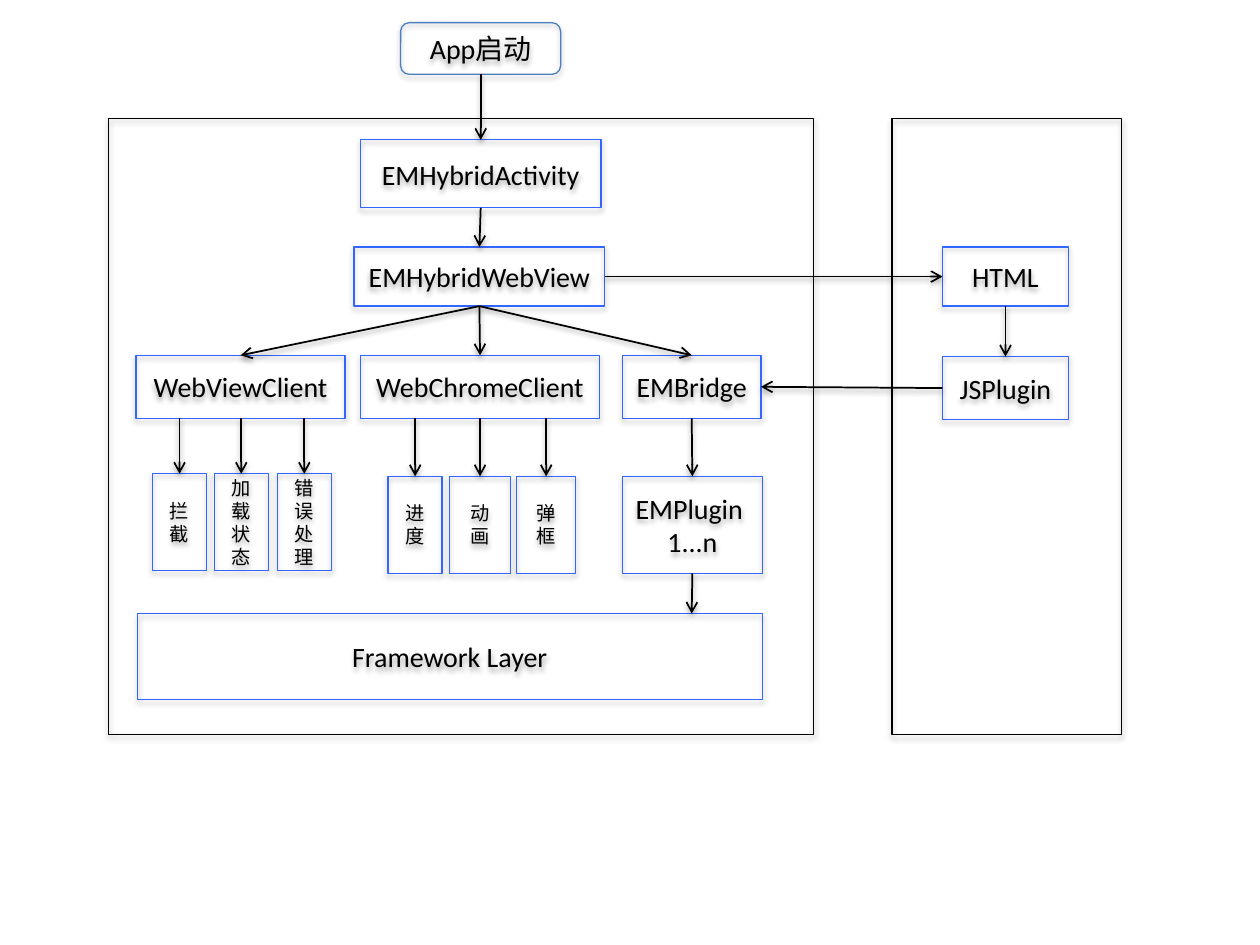
"""Build the hybrid app architecture flow slide."""
from lxml import etree
from pptx import Presentation
from pptx.dml.color import RGBColor
from pptx.enum.shapes import MSO_CONNECTOR, MSO_SHAPE
from pptx.enum.text import MSO_ANCHOR, PP_ALIGN
from pptx.oxml.ns import qn
from pptx.util import Inches, Pt

COLORS = {"box": "3366FF", "start": "4B7EBC", "black": "000000"}
TOP, LEFT, BOTTOM, RIGHT = range(4)

prs = Presentation()
prs.slide_width, prs.slide_height = Inches(10), Inches(7.5)
slide = prs.slides.add_slide(prs.slide_layouts[6])


def style_outline(item, color, width, distance, opacity):
    item.line.color.rgb = RGBColor.from_string(COLORS[color])
    item.line.width = Pt(width)
    effects = etree.SubElement(item._element.spPr, qn("a:effectLst"))
    shadow = etree.SubElement(effects, qn("a:outerShdw"), blurRad="40000", dist=str(distance),
                              dir="5400000", rotWithShape="0")
    tint = etree.SubElement(shadow, qn("a:srgbClr"), val=COLORS["black"])
    etree.SubElement(tint, qn("a:alpha"), val=str(opacity * 1000))


def add_box(text, left, top, width, height, size=16, color="box", kind=MSO_SHAPE.RECTANGLE):
    box = slide.shapes.add_shape(kind, Inches(left), Inches(top), Inches(width), Inches(height))
    box.fill.background()
    style_outline(box, color, 0.75, 23000, 35)
    frame = box.text_frame
    frame.word_wrap = True
    frame.vertical_anchor = MSO_ANCHOR.MIDDLE
    frame.text = text
    for paragraph in frame.paragraphs:
        paragraph.alignment = PP_ALIGN.CENTER
        for run in paragraph.runs:
            run.font.name = "Calibri"
            run.font.size = Pt(size)
            run.font.color.rgb = RGBColor.from_string(COLORS["black"])
    return box


for left, width in ((0.86, 5.6), (7.08, 1.82)):
    add_box("", left, 0.94, width, 4.89, color="black")

boxes = {"start": add_box("App启动", 3.18, 0.18, 1.27, 0.41, color="start",
                          kind=MSO_SHAPE.ROUNDED_RECTANGLE)}
for name, text, left, top, width, height in (
    ("activity", "EMHybridActivity", 2.86, 1.11, 1.91, 0.54),
    ("webview", "EMHybridWebView", 2.81, 1.96, 1.99, 0.47),
    ("view_client", "WebViewClient", 1.08, 2.82, 1.66, 0.5),
    ("chrome_client", "WebChromeClient", 2.86, 2.82, 1.9, 0.5),
    ("bridge", "EMBridge", 4.94, 2.82, 1.1, 0.5),
    ("plugin", "EMPlugin \n1...n", 4.94, 3.78, 1.11, 0.77),
    ("framework", "Framework Layer", 1.09, 4.87, 4.96, 0.68),
    ("html", "HTML", 7.48, 1.96, 1, 0.47),
    ("js_plugin", "JSPlugin", 7.48, 2.83, 1, 0.5),
):
    boxes[name] = add_box(text, left, top, width, height)

arrows = []
for parent, text, left, top, width in (
    ("view_client", "拦截", 1.21, 3.76, 0.43),
    ("view_client", "加载状态", 1.7, 3.76, 0.43),
    ("view_client", "错误处理", 2.2, 3.76, 0.43),
    ("chrome_client", "进\n度", 3.08, 3.78, 0.43),
    ("chrome_client", "动\n画", 3.57, 3.78, 0.48),
    ("chrome_client", "弹\n框", 4.1, 3.78, 0.47),
):
    task = add_box(text, left, top, width, 0.77, size=11)
    center = task.left + task.width // 2
    source = boxes[parent]
    arrow = slide.shapes.add_connector(MSO_CONNECTOR.STRAIGHT, center,
                                       source.top + source.height, center, task.top)
    arrow.end_connect(task, TOP)
    arrows.append(arrow)

for source, source_site, target, target_site in (
    ("start", BOTTOM, "activity", TOP),
    ("activity", BOTTOM, "webview", TOP),
    ("webview", BOTTOM, "view_client", TOP),
    ("webview", BOTTOM, "chrome_client", TOP),
    ("webview", BOTTOM, "bridge", TOP),
    ("webview", RIGHT, "html", LEFT),
    ("html", BOTTOM, "js_plugin", TOP),
    ("js_plugin", LEFT, "bridge", RIGHT),
    ("bridge", BOTTOM, "plugin", TOP),
):
    arrow = slide.shapes.add_connector(MSO_CONNECTOR.STRAIGHT, 0, 0, 0, 0)
    arrow.begin_connect(boxes[source], source_site)
    arrow.end_connect(boxes[target], target_site)
    arrows.append(arrow)

arrow = slide.shapes.add_connector(MSO_CONNECTOR.STRAIGHT, Inches(5.49), Inches(4.55),
                                   Inches(5.49), Inches(4.87))
arrow.begin_connect(boxes["plugin"], BOTTOM)
arrows.append(arrow)

for arrow in arrows:
    style_outline(arrow, "black", 1, 20000, 38)
    etree.SubElement(arrow.line._get_or_add_ln(), qn("a:tailEnd"), type="arrow")

prs.save("out.pptx")
